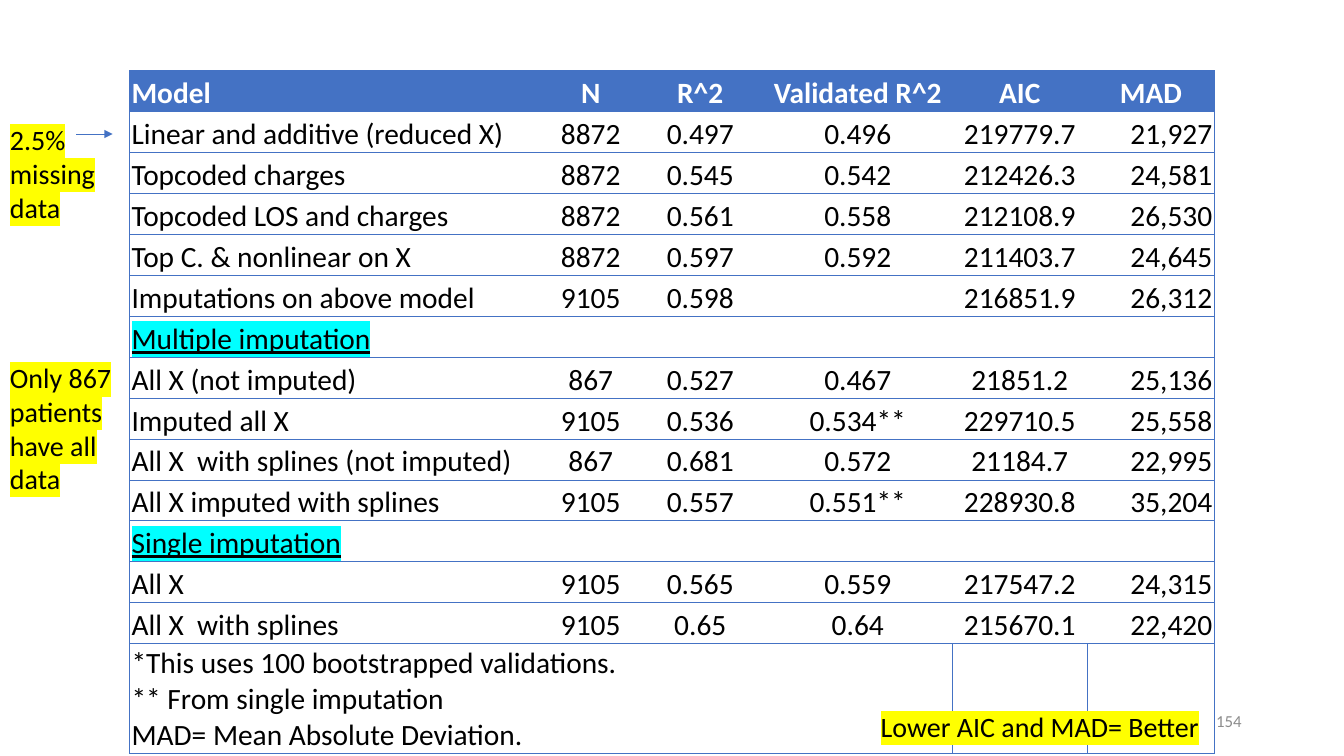
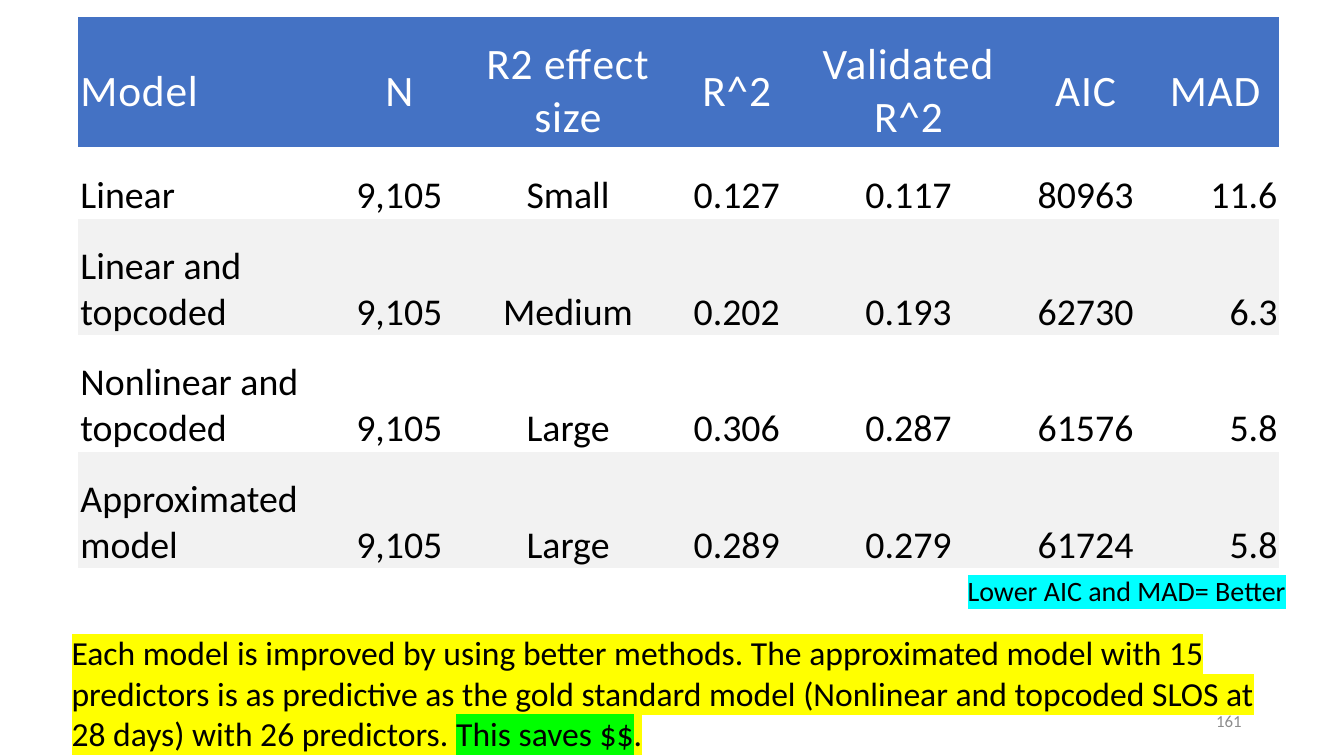
from lxml import etree
from pptx import Presentation
from pptx.dml.color import RGBColor
from pptx.enum.shapes import MSO_CONNECTOR
from pptx.enum.text import MSO_ANCHOR, PP_ALIGN
from pptx.oxml.ns import qn
from pptx.util import Pt

LEFT, MID, RIGHT = PP_ALIGN.LEFT, PP_ALIGN.CENTER, PP_ALIGN.RIGHT
TOP, CENTER, BOTTOM = MSO_ANCHOR.TOP, MSO_ANCHOR.MIDDLE, MSO_ANCHOR.BOTTOM
STRAIGHT = MSO_CONNECTOR.STRAIGHT

BLUE = RGBColor(0x44, 0x72, 0xC4)
WHITE = RGBColor(0xFF, 0xFF, 0xFF)
BLACK = RGBColor(0, 0, 0)
GRAY = RGBColor(0x8C, 0x8C, 0x8C)
PALE = RGBColor(0xF2, 0xF2, 0xF2)
YELLOW = RGBColor(0xFF, 0xFF, 0)
CYAN = RGBColor(0, 0xFF, 0xFF)
GREEN = RGBColor(0, 0xFF, 0)
FONT = "Calibri"
PLAIN = "{2D5ABB26-0587-4C30-8999-92F81FD0307C}"

FITS = [
    ["Model", "N", "R^2", "Validated R^2", "AIC", "MAD"],
    ["Linear and additive (reduced X)", "8872", "0.497", "0.496", "219779.7", "21,927"],
    ["Topcoded charges", "8872", "0.545", "0.542", "212426.3", "24,581"],
    ["Topcoded LOS and charges", "8872", "0.561", "0.558", "212108.9", "26,530"],
    ["Top C. & nonlinear on X", "8872", "0.597", "0.592", "211403.7", "24,645"],
    ["Imputations on above model", "9105", "0.598", "", "216851.9", "26,312"],
    ["Multiple imputation"],
    ["All X (not imputed)", "867", "0.527", "0.467", "21851.2", "25,136"],
    ["Imputed all X", "9105", "0.536", "0.534**", "229710.5", "25,558"],
    ["All X  with splines (not imputed)", "867", "0.681", "0.572", "21184.7", "22,995"],
    ["All X imputed with splines", "9105", "0.557", "0.551**", "228930.8", "35,204"],
    ["Single imputation"],
    ["All X", "9105", "0.565", "0.559", "217547.2", "24,315"],
    ["All X  with splines", "9105", "0.65", "0.64", "215670.1", "22,420"],
    ["*This uses 100 bootstrapped validations.\n** From single imputation\n"
     "MAD= Mean Absolute Deviation.", "", "", "", "", ""],
]
FIT_COLS = [296.5, 66, 90.5, 134.5, 97, 90.5]
FIT_ROWS = [29.25] * 14 + [78.5]

SIZES = [
    ["Model", "N", "R2 effect size", "R^2", "Validated R^2", "AIC", "MAD"],
    ["Linear", "9,105", "Small", "0.127", "0.117", "80963", "11.6"],
    ["Linear and topcoded", "9,105", "Medium", "0.202", "0.193", "62730", "6.3"],
    ["Nonlinear and topcoded", "9,105", "Large", "0.306", "0.287", "61576", "5.8"],
    ["Approximated model", "9,105", "Large", "0.289", "0.279", "61724", "5.8"],
]
SIZE_COLS = [186.5, 85.5, 155.5, 85.5, 160, 93, 92]
SIZE_ROWS = [92.5, 51.5, 83.25, 83.25, 83.25]

BETTER = "Lower AIC and MAD= Better"
NOTES = [
    (0, 84.25, 88.5, 80, "2.5% missing data"),
    (0, 254.25, 88.5, 104.5, "Only 867 patients have all data"),
]
CLOSING = [
    ("Each model is improved by using better methods. The approximated model "
     "with 15 predictors is as predictive as the gold standard model (Nonlinear "
     "and topcoded SLOS at 28 days) with 26 predictors. ", YELLOW),
    ("This saves $$", GREEN),
    (".", YELLOW),
]


def mark(run, color):
    props = run._r.get_or_add_rPr()
    light = etree.SubElement(props, qn("a:highlight"))
    etree.SubElement(light, qn("a:srgbClr"), val=str(color))


def style(para, size, color, align=LEFT, bold=False, under=False):
    para.alignment = align
    font = para.font
    font.name, font.size, font.bold, font.underline = FONT, Pt(size), bold, under
    font.color.rgb = color


def add_text(slide, x, y, w, h, runs, size, color=BLACK, align=LEFT, anchor=TOP):
    frame = slide.shapes.add_textbox(Pt(x), Pt(y), Pt(w), Pt(h)).text_frame
    frame.word_wrap = True
    frame.vertical_anchor = anchor
    para = frame.paragraphs[0]
    for text, light in runs:
        run = para.add_run()
        run.text = text
        if light:
            mark(run, light)
    style(para, size, color, align)


def add_page(slide, number):
    add_text(slide, 678, 500.5, 216, 28.5, [(number, None)], 12, GRAY, RIGHT, CENTER)


def edge(cell, sides):
    props = cell._tc.get_or_add_tcPr()
    for side in sides:
        line = etree.SubElement(props, qn("a:ln" + side), w=str(Pt(0.5)))
        fill = etree.SubElement(line, qn("a:solidFill"))
        etree.SubElement(fill, qn("a:srgbClr"), val=str(BLUE))


def add_grid(slide, x, y, rows, widths, heights, top, head, body,
             bold=False, space=0, band=None, lined=False, anchor=BOTTOM):
    count, wide = len(rows), len(widths)
    frame = slide.shapes.add_table(count, wide, Pt(x), Pt(y),
                                   Pt(sum(widths)), Pt(sum(heights)))
    table = frame.table
    table._tbl.tblPr.find(qn("a:tableStyleId")).text = PLAIN
    for col, width in zip(table.columns, widths):
        col.width = Pt(width)
    for r, row in enumerate(rows):
        table.rows[r].height = Pt(heights[r])
        title = len(row) == 1
        for c, text in enumerate(row + [""] * (wide - len(row))):
            cell = table.cell(r, c)
            cell.margin_left = cell.margin_right = Pt(1.5)
            cell.margin_top, cell.margin_bottom = Pt(top), 0
            cell.vertical_anchor = BOTTOM if r else anchor
            if lined:
                last = r == count - 1
                left = c == 0 or last and c >= wide - 2
                right = c == wide - 1 or last and c >= wide - 3
                edge(cell, "L" * left + "R" * right + "TB")
            color = BLUE if r == 0 else band if r % 2 == 0 else None
            if color:
                cell.fill.solid()
                cell.fill.fore_color.rgb = color
            else:
                cell.fill.background()
            cell.text = text
            align = LEFT if c == 0 else RIGHT if r and c == wide - 1 else MID
            for para in cell.text_frame.paragraphs:
                style(para, body if r else head, BLACK if r else WHITE, align,
                      bold and r == 0, title and c == 0)
                for run in para.runs:
                    if title:
                        mark(run, CYAN)
                    if space and r == 0:
                        run._r.get_or_add_rPr().set("spc", str(space))
    return table


def add_arrow(slide, x1, x2, y):
    line = slide.shapes.add_connector(STRAIGHT, Pt(x1), Pt(y), Pt(x2), Pt(y))
    line.line.color.rgb = BLUE
    line.line.width = Pt(0.5)
    etree.SubElement(line.line._get_or_add_ln(), qn("a:tailEnd"), type="triangle")
    etree.SubElement(line._element.spPr, qn("a:effectLst"))


def main():
    deck = Presentation()
    deck.slide_width, deck.slide_height = Pt(960), Pt(540)
    blank = deck.slide_layouts[6]

    slide = deck.slides.add_slide(blank)
    table = add_grid(slide, 92.5, 50.5, FITS, FIT_COLS, FIT_ROWS, 1.5, 21, 21,
                     bold=True, lined=True)
    end = len(FITS) - 1
    table.cell(end, 0).merge(table.cell(end, 2))
    add_text(slide, 622, 503.5, 309.5, 31.5, [(BETTER, YELLOW)], 20)
    add_page(slide, "154")
    for x, y, w, h, text in NOTES:
        add_text(slide, x, y, w, h, [(text, YELLOW)], 20)
    add_arrow(slide, 54.5, 80.5, 95.75)

    slide = deck.slides.add_slide(blank)
    add_grid(slide, 56, 12.25, SIZES, SIZE_COLS, SIZE_ROWS, 13.5, 31, 27,
             space=60, band=PALE, anchor=CENTER)
    add_text(slide, 44, 448, 870.5, 94.5, CLOSING, 24)
    add_text(slide, 684, 406, 250.5, 31.5, [(BETTER, CYAN)], 20)
    add_page(slide, "161")

    deck.save("out.pptx")


if __name__ == "__main__":
    main()
